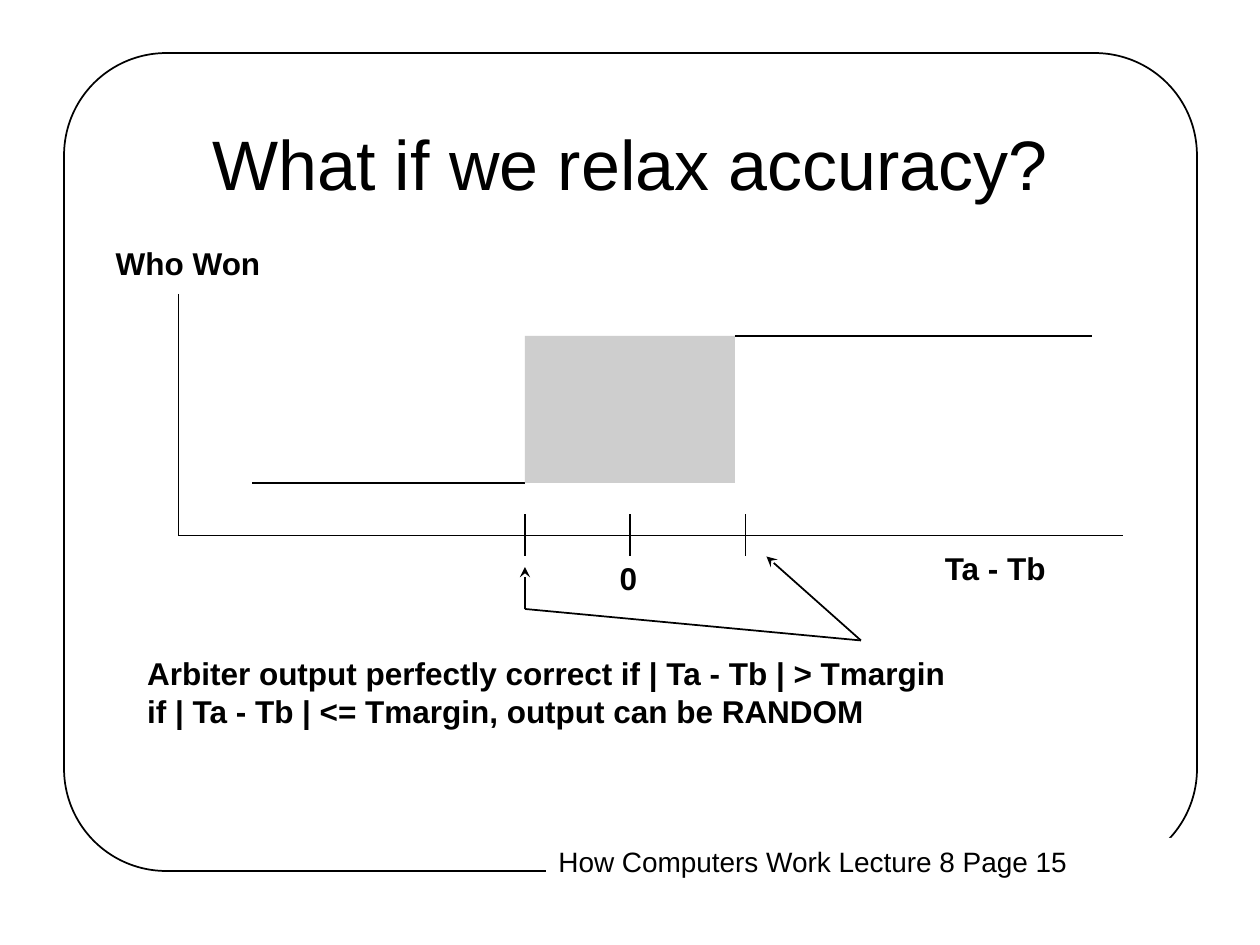
import pptx
import pptx.dml.color
import pptx.enum.shapes
import pptx.enum.text
import pptx.oxml.ns
import pptx.util
from dataclasses import dataclass
from lxml import etree

COLUMNS, ROWS = 120, 90
SHAPES = pptx.enum.shapes.MSO_SHAPE
ALIGN = pptx.enum.text.PP_ALIGN
ANCHOR = pptx.enum.text.MSO_ANCHOR


def color(value):
    return pptx.dml.color.RGBColor.from_string(value)


@dataclass
class Theme:
    font: str = "Arial"
    ink: str = "000000"
    paper: str = "FFFFFF"
    uncertain: str = "CECECE"
    title_size: int = 40
    label_size: int = 18
    footer_size: int = 16
    line_width: int = 1


def write_text(frame, text, theme, size, bold=False, align=ALIGN.LEFT,
               anchor=ANCHOR.TOP, wrap=False):
    frame.text = text
    frame.word_wrap = wrap
    frame.vertical_anchor = anchor
    frame.margin_left = frame.margin_right = pptx.util.Inches(0.1)
    frame.margin_top = frame.margin_bottom = pptx.util.Inches(0.05)
    if not wrap:
        frame.auto_size = pptx.enum.text.MSO_AUTO_SIZE.SHAPE_TO_FIT_TEXT
    for paragraph in frame.paragraphs:
        paragraph.alignment = align
        font = paragraph.font
        font.name = theme.font
        font.size = pptx.util.Pt(size)
        font.bold = bold
        font.color.rgb = color(theme.ink)


class SlideBuilder:
    """Places elements in columns and rows of the slide grid."""

    def __init__(self, presentation, theme):
        self.theme = theme
        self.column = presentation.slide_width / COLUMNS
        self.row = presentation.slide_height / ROWS
        self.slide = presentation.slides.add_slide(presentation.slide_layouts[5])

    def place(self, *lengths):
        """Turn alternating column and row lengths into EMU."""
        units = (self.column, self.row) * 2
        return [round(length * unit) for length, unit in zip(lengths, units)]

    def title(self, text, box):
        title = self.slide.shapes.title
        title.left, title.top, title.width, title.height = self.place(*box)
        write_text(title.text_frame, text, self.theme, self.theme.title_size,
                   align=ALIGN.CENTER, anchor=ANCHOR.MIDDLE, wrap=True)

    def shape(self, kind, box, fill=None, outlined=False):
        shape = self.slide.shapes.add_shape(kind, *self.place(*box))
        shape.shadow.inherit = False
        if fill:
            shape.fill.solid()
            shape.fill.fore_color.rgb = color(fill)
        else:
            shape.fill.background()
        if outlined:
            self.stroke(shape.line)
        else:
            shape.line.fill.background()
        return shape

    def stroke(self, line):
        line.color.rgb = color(self.theme.ink)
        line.width = pptx.util.Pt(self.theme.line_width)

    def line(self, start, end, arrow=False):
        connector = self.slide.shapes.add_connector(
            pptx.enum.shapes.MSO_CONNECTOR.STRAIGHT, *self.place(*start, *end))
        self.stroke(connector.line)
        qn = pptx.oxml.ns.qn
        properties = connector._element.spPr
        if arrow:
            etree.SubElement(properties.find(qn("a:ln")), qn("a:tailEnd"), type="stealth")
        etree.SubElement(properties, qn("a:effectLst"))

    def label(self, text, box):
        text_box = self.slide.shapes.add_textbox(*self.place(*box))
        write_text(text_box.text_frame, text, self.theme, self.theme.label_size, bold=True)

    def footer(self, text, box):
        footer = self.shape(SHAPES.RECTANGLE, box, fill=self.theme.paper)
        write_text(footer.text_frame, text, self.theme, self.theme.footer_size)


def main():
    presentation = pptx.Presentation()
    presentation.slide_width = pptx.util.Inches(10)
    presentation.slide_height = pptx.util.Inches(7.5)
    theme = Theme()
    builder = SlideBuilder(presentation, theme)

    frame = builder.shape(SHAPES.ROUNDED_RECTANGLE, (6.1, 5.05, 107.9, 77.9), outlined=True)
    frame.adjustments[0] = 0.125
    builder.footer("How Computers Work Lecture 8 Page 15", (52, 79.8, 60.12, 4.44))
    builder.title("What if we relax accuracy?", (9, 8, 102, 15))

    # Output steps from low to high across the uncertain zone
    low, high, zone_start, zone_end = 46, 32, 50, 70
    builder.line((24, low), (zone_start, low))
    builder.line((zone_end, high), (104, high))
    builder.shape(SHAPES.RECTANGLE,
                  (zone_start, high, zone_end - zone_start, low - high),
                  fill=theme.uncertain)

    axis_left, axis_row = 17, 51
    builder.line((axis_left, 28), (axis_left, axis_row))
    builder.line((axis_left, axis_row), (107, axis_row))
    for tick in (zone_start, 60, 71):
        builder.line((tick, axis_row - 2), (tick, axis_row + 2))

    # Arrows from the margin remark to both limits
    remark, bend = (82, 61), (zone_start, 58)
    builder.line(remark, (73, 53), arrow=True)
    builder.line(remark, bend)
    builder.line(bend, (zone_start, 54), arrow=True)

    for text, box in (
        ("Who Won", (9.84, 22.68, 16.2, 4.8)),
        ("0", (57.84, 52.68, 4.08, 4.8)),
        ("Ta - Tb", (88.8, 51.72, 12.24, 4.8)),
        ("Arbiter output perfectly correct if | Ta - Tb | > Tmargin\n"
         "if | Ta - Tb | <= Tmargin, output can be RANDOM", (12.84, 61.68, 78.72, 8.4)),
    ):
        builder.label(text, box)

    presentation.save("out.pptx")


if __name__ == "__main__":
    main()
